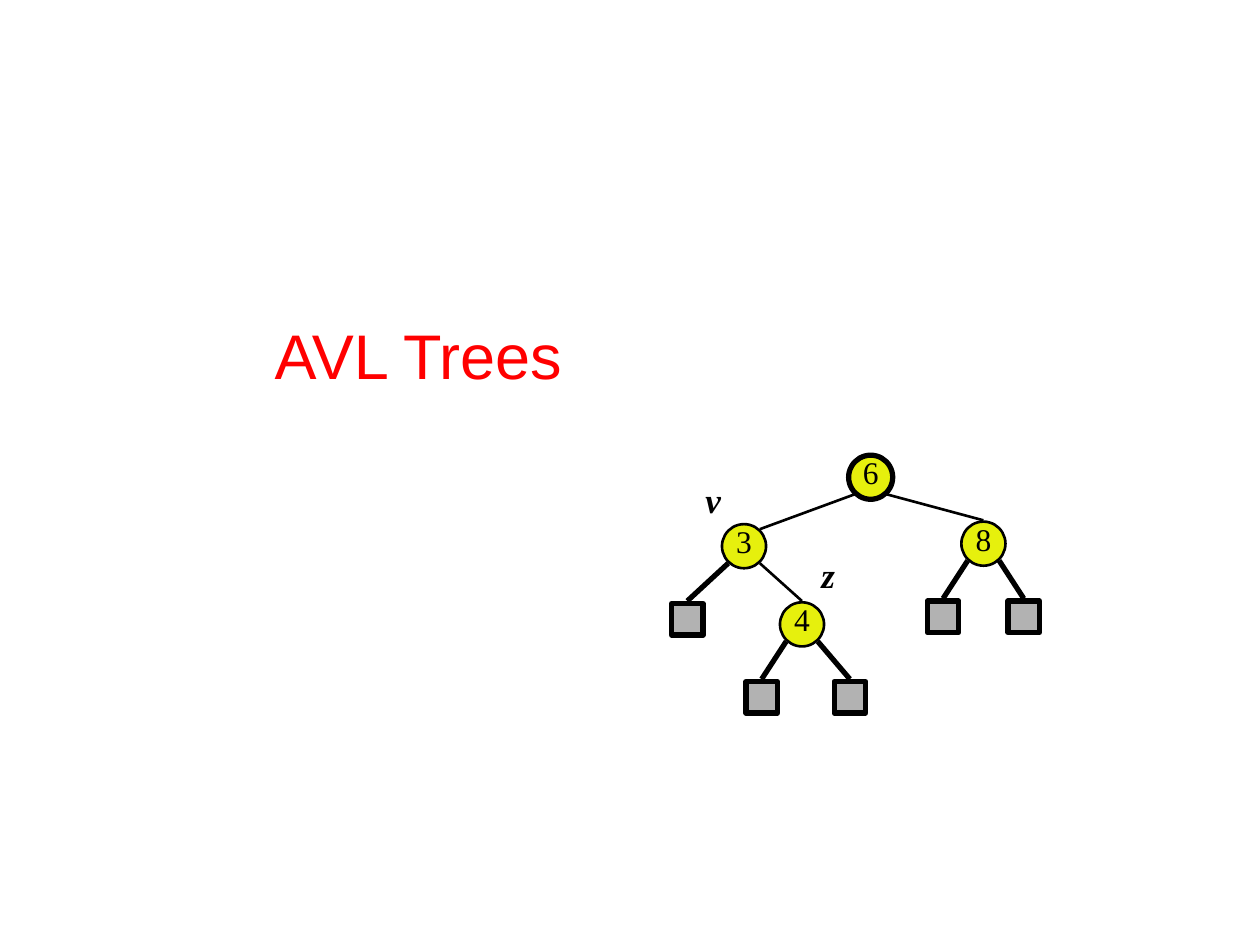
from dataclasses import dataclass

from lxml import etree
from pptx import Presentation
from pptx.dml.color import RGBColor
from pptx.enum.shapes import MSO_CONNECTOR, MSO_SHAPE
from pptx.enum.text import MSO_ANCHOR, PP_ALIGN
from pptx.oxml.ns import qn
from pptx.util import Inches, Pt

STRAIGHT = MSO_CONNECTOR.STRAIGHT
OVAL, SQUARE = MSO_SHAPE.OVAL, MSO_SHAPE.RECTANGLE
MIDDLE, BOTTOM = MSO_ANCHOR.MIDDLE, MSO_ANCHOR.BOTTOM
LEFT, CENTER = PP_ALIGN.LEFT, PP_ALIGN.CENTER

WIDTH, HEIGHT = 10, 7.5
TITLE_ONLY = 5
BLACK, RED, YELLOW, GRAY = "000000", "FF0000", "E6F00D", "B2B2B2"
SERIF = "Times New Roman"
THIN, THICK = 1.5, 3
NODE_SIZE, LEAF_SIZE = 0.35, 0.25
BRANCH_DX, BRANCH_DY = 0.125, 0.135
NODE_GAP, LEAF_GAP = 0.01, 0.02


@dataclass(frozen=True)
class Node:
    x: float
    y: float
    key: str = ""
    outline: float = THIN
    left: "Node | None" = None
    right: "Node | None" = None
    entry_dx: float = 0

    @property
    def center(self) -> tuple[float, float]:
        return self.x * WIDTH / 100, self.y * HEIGHT / 100


@dataclass(frozen=True)
class Label:
    letter: str
    x: float
    y: float


TREE = Node(
    69.1, 50.5, "6", THICK,
    left=Node(
        59.05, 57.8, "3", entry_dx=BRANCH_DX,
        left=Node(54.55, 65.53),
        right=Node(63.65, 66.07, "4",
                   left=Node(60.45, 73.8), right=Node(67.45, 73.8)),
    ),
    right=Node(78.05, 57.53, "8",
               left=Node(74.85, 65.27), right=Node(81.25, 65.27)),
)
LABELS = [Label("v", 55, 50.4), Label("z", 64.2, 58.27)]


def color(hex_code: str) -> RGBColor:
    return RGBColor.from_string(hex_code)


def write(frame, text: str, *, size: float, font: str = SERIF, ink: str = BLACK,
          align=CENTER, space_before: float = 5, emphasis: bool = False) -> None:
    paragraph = frame.paragraphs[0]
    paragraph.alignment = align
    paragraph.line_spacing = 0.93
    paragraph.space_before = Pt(space_before)
    run = paragraph.add_run()
    run.text = text
    run.font.name = font
    run.font.size = Pt(size)
    run.font.color.rgb = color(ink)
    run.font.bold = run.font.italic = emphasis


def draw_edge(slide, parent: Node, child: Node, side: int) -> None:
    x, y = parent.center
    child_x, child_y = child.center
    if child.entry_dx:
        rise = BRANCH_DY
    elif child.key:
        rise = NODE_SIZE / 2 + NODE_GAP
    else:
        rise = LEAF_SIZE / 2 + LEAF_GAP
    edge = slide.shapes.add_connector(
        STRAIGHT,
        Inches(x + side * BRANCH_DX), Inches(y + BRANCH_DY),
        Inches(child_x + child.entry_dx), Inches(child_y - rise))
    edge.line.color.rgb = color(BLACK)
    edge.line.width = Pt(THIN if child.key else THICK)
    etree.SubElement(edge._element.spPr, qn("a:effectLst"))


def draw_node(slide, node: Node) -> None:
    x, y = node.center
    size = NODE_SIZE if node.key else LEAF_SIZE
    mark = slide.shapes.add_shape(
        OVAL if node.key else SQUARE,
        Inches(x - size / 2), Inches(y - size / 2), Inches(size), Inches(size))
    mark.shadow.inherit = False
    mark.fill.solid()
    mark.fill.fore_color.rgb = color(YELLOW if node.key else GRAY)
    mark.line.color.rgb = color(BLACK)
    mark.line.width = Pt(node.outline if node.key else THICK)
    if node.key:
        frame = mark.text_frame
        frame.word_wrap = False
        frame.vertical_anchor = MIDDLE
        frame.margin_left = frame.margin_right = frame.margin_top = 0
        frame.margin_bottom = Inches(0.05)
        write(frame, node.key, size=18)


def draw_tree(slide, node: Node) -> None:
    draw_node(slide, node)
    for child, side in ((node.left, -1), (node.right, 1)):
        if child:
            draw_edge(slide, node, child, side)
            draw_tree(slide, child)


def draw_label(slide, label: Label) -> None:
    box = slide.shapes.add_textbox(
        Inches(label.x * WIDTH / 100), Inches(label.y * HEIGHT / 100),
        Inches(0.34), Inches(0.5))
    box.text_frame.word_wrap = True
    write(box.text_frame, label.letter, size=20, align=LEFT, emphasis=True)


def draw_title(slide, text: str) -> None:
    title = slide.shapes.title
    title.left, title.top = Inches(2.08), Inches(1.92)
    title.width, title.height = Inches(3.83), Inches(1.25)
    title.text_frame.vertical_anchor = BOTTOM
    write(title.text_frame, text, size=36, font="Arial", ink=RED,
          align=LEFT, space_before=0)


def main() -> None:
    deck = Presentation()
    deck.slide_width, deck.slide_height = Inches(WIDTH), Inches(HEIGHT)
    slide = deck.slides.add_slide(deck.slide_layouts[TITLE_ONLY])
    draw_title(slide, "AVL Trees")
    draw_tree(slide, TREE)
    for label in LABELS:
        draw_label(slide, label)
    deck.save("out.pptx")


if __name__ == "__main__":
    main()
